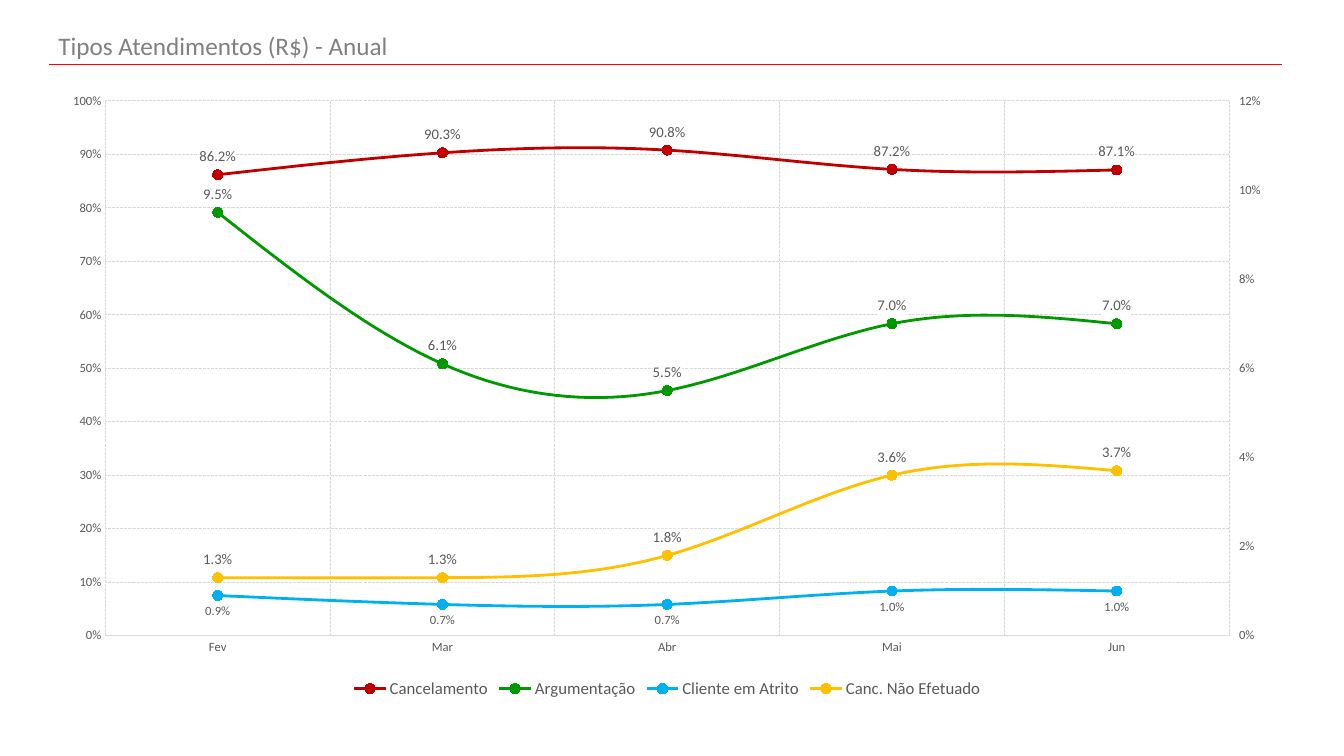
"""Build a slide with a two-axis line chart of yearly service types."""
import copy
import dataclasses
import typing

import pptx
import pptx.chart.axis
import pptx.chart.data
import pptx.dml.color
import pptx.enum.chart
import pptx.enum.dml
import pptx.enum.shapes
import pptx.enum.text
import pptx.oxml.ns
import pptx.util
from lxml import etree

Cm = pptx.util.Cm
Pt = pptx.util.Pt
RGB = pptx.dml.color.RGBColor
qn = pptx.oxml.ns.qn
Place = pptx.enum.chart.XL_LABEL_POSITION
Tick = pptx.enum.chart.XL_TICK_MARK

RED = RGB(0xFF, 0x00, 0x00)
GRAY = RGB(0x80, 0x80, 0x80)
DARK = RGB(0x59, 0x59, 0x59)
PALE = RGB(0xD9, 0xD9, 0xD9)
WHITE = RGB(0xFF, 0xFF, 0xFF)
FONT = "Calibri"
MONTHS = ("Fev", "Mar", "Abr", "Mai", "Jun")
FRAME = {"x": 0.046, "y": 0.031, "w": 0.908, "h": 0.861}
LEFT = {"minimum_scale": 0, "maximum_scale": 1, "major_unit": 0.1}
RIGHT = {"maximum_scale": 0.12, "major_unit": 0.02,
         "has_major_gridlines": False, "major_tick_mark": Tick.OUTSIDE}


@dataclasses.dataclass(frozen=True)
class Trend:
    """One line of the chart."""
    name: str
    vals: tuple[float, ...]
    color: RGB
    place: Place = Place.ABOVE
    size: float = 10.5


TRENDS = (
    Trend("Cancelamento", (0.862, 0.903, 0.908, 0.872, 0.871), RGB(0xC0, 0x00, 0x00)),
    Trend("Argumentação", (0.095, 0.061, 0.055, 0.07, 0.07), RGB(0x00, 0x99, 0x00)),
    Trend("Cliente em Atrito", (0.009, 0.007, 0.007, 0.01, 0.01),
          RGB(0x00, 0xB0, 0xF0), Place.BELOW, 9),
    Trend("Canc. Não Efetuado", (0.013, 0.013, 0.018, 0.036, 0.037), RGB(0xFF, 0xC0, 0x00)),
)


def apply(item: typing.Any, vals: dict[str, typing.Any]) -> None:
    """Set each named attribute of an object."""
    for key, val in vals.items():
        setattr(item, key, val)


def add(root: typing.Any, tag: str, **vals: str) -> typing.Any:
    """Append an XML child with attributes."""
    return etree.SubElement(root, qn(tag), vals)


def style(font: typing.Any, size: float, color: RGB = DARK) -> None:
    """Set face, size and colour of a font."""
    apply(font, {"name": FONT, "size": Pt(size), "bold": False})
    font.color.rgb = color


def rule(line: typing.Any, color: RGB, width: float) -> None:
    """Set colour and width of a line."""
    line.color.rgb = color
    line.width = Pt(width)


def head(slide: typing.Any) -> None:
    """Draw the title and the rule under it."""
    line = slide.shapes.add_connector(
        pptx.enum.shapes.MSO_CONNECTOR.STRAIGHT, Cm(1.24), Cm(1.63), Cm(32.31), Cm(1.63))
    rule(line.line, RED, 0.5)
    add(line._element.spPr, "a:effectLst")
    box = slide.shapes.add_textbox(Cm(1.22), Cm(0.64), Cm(31.19), Cm(1.02))
    frame = box.text_frame
    apply(frame, {"word_wrap": True, "vertical_anchor": pptx.enum.text.MSO_ANCHOR.MIDDLE})
    run = frame.paragraphs[0].add_run()
    run.text = "Tipos Atendimentos (R$) - Anual"
    style(run.font, 18, GRAY)


def paint(line: typing.Any, trend: Trend) -> None:
    """Format one series with its markers and labels."""
    line.smooth = True
    rule(line.format.line, trend.color, 2)
    mark = line.marker
    apply(mark, {"style": pptx.enum.chart.XL_MARKER_STYLE.CIRCLE, "size": 7})
    mark.format.fill.solid()
    mark.format.fill.fore_color.rgb = trend.color
    mark.format.line.color.rgb = WHITE
    tags = line.data_labels
    apply(tags, {"show_value": True, "number_format": "0.0%",
                 "number_format_is_linked": False, "position": trend.place})
    style(tags.font, trend.size)
    back = add(tags._element, "c:spPr")
    add(add(back, "a:solidFill"), "a:srgbClr", val=str(WHITE))
    tags._element.find(qn("c:numFmt")).addnext(back)


def grid(axis: typing.Any) -> None:
    """Format an axis with dashed grid lines."""
    apply(axis, {"has_major_gridlines": True, "major_tick_mark": Tick.NONE,
                 "minor_tick_mark": Tick.NONE})
    style(axis.tick_labels.font, 9)
    line = axis.major_gridlines.format.line
    rule(line, PALE, 0.75)
    line.dash_style = pptx.enum.dml.MSO_LINE.SQUARE_DOT


def split(chart: typing.Any) -> None:
    """Move all series but the first to a right axis."""
    main = chart.plots[0]._element
    twin = copy.deepcopy(main)
    for ser in main.findall(qn("c:ser"))[1:]:
        main.remove(ser)
    twin.remove(twin.find(qn("c:ser")))
    main.addnext(twin)
    cat, val = chart.category_axis._element, chart.value_axis._element
    base, side = copy.deepcopy(cat), copy.deepcopy(val)
    val.addnext(side)
    side.addnext(base)
    for ref, num in zip(twin.findall(qn("c:axId")), ("5001", "5002")):
        ref.set("val", num)
    for axis, own, cross in ((base, "5001", "5002"), (side, "5002", "5001")):
        axis.find(qn("c:axId")).set("val", own)
        axis.find(qn("c:crossAx")).set("val", cross)
    side.find(qn("c:axPos")).set("val", "r")
    side.find(qn("c:crosses")).set("val", "max")
    apply(pptx.chart.axis.CategoryAxis(base), {"visible": False, "has_major_gridlines": False})
    apply(pptx.chart.axis.ValueAxis(side), RIGHT)


def fit(chart: typing.Any) -> None:
    """Fix the inner plot area."""
    area = chart.plots[0]._element.getparent()
    for old in area.findall(qn("c:layout")):
        area.remove(old)
    wrap = add(area, "c:layout")
    area.insert(0, wrap)
    spot = add(wrap, "c:manualLayout")
    add(spot, "c:layoutTarget", val="inner")
    for key in "xy":
        add(spot, f"c:{key}Mode", val="edge")
    for key, val in FRAME.items():
        add(spot, f"c:{key}", val=str(val))


def graph(slide: typing.Any) -> None:
    """Draw the line chart."""
    data = pptx.chart.data.CategoryChartData(number_format="0.0%")
    data.categories = MONTHS
    for trend in TRENDS:
        data.add_series(trend.name, trend.vals)
    chart = slide.shapes.add_chart(
        pptx.enum.chart.XL_CHART_TYPE.LINE_MARKERS,
        Cm(1.22), Cm(2.06), Cm(31.19), Cm(15.65), data).chart
    apply(chart, {"has_title": False, "has_legend": True})
    style(chart.font, 10)
    apply(chart.legend, {"position": pptx.enum.chart.XL_LEGEND_POSITION.BOTTOM,
                         "include_in_layout": False})
    style(chart.legend.font, 12)
    chart.plots[0].vary_by_categories = False
    for line, trend in zip(chart.plots[0].series, TRENDS):
        paint(line, trend)
    cat, val = chart.category_axis, chart.value_axis
    grid(cat)
    grid(val)
    rule(cat.format.line, PALE, 0.75)
    val.format.line.fill.background()
    apply(val, LEFT)
    apply(val.tick_labels, {"number_format": "0%", "number_format_is_linked": False})
    split(chart)
    fit(chart)


def main() -> None:
    """Build and save the deck."""
    deck = pptx.Presentation()
    apply(deck, {"slide_width": Cm(33.87), "slide_height": Cm(19.05)})
    slide = deck.slides.add_slide(deck.slide_layouts[6])
    head(slide)
    graph(slide)
    deck.save("out.pptx")


if __name__ == "__main__":
    main()
